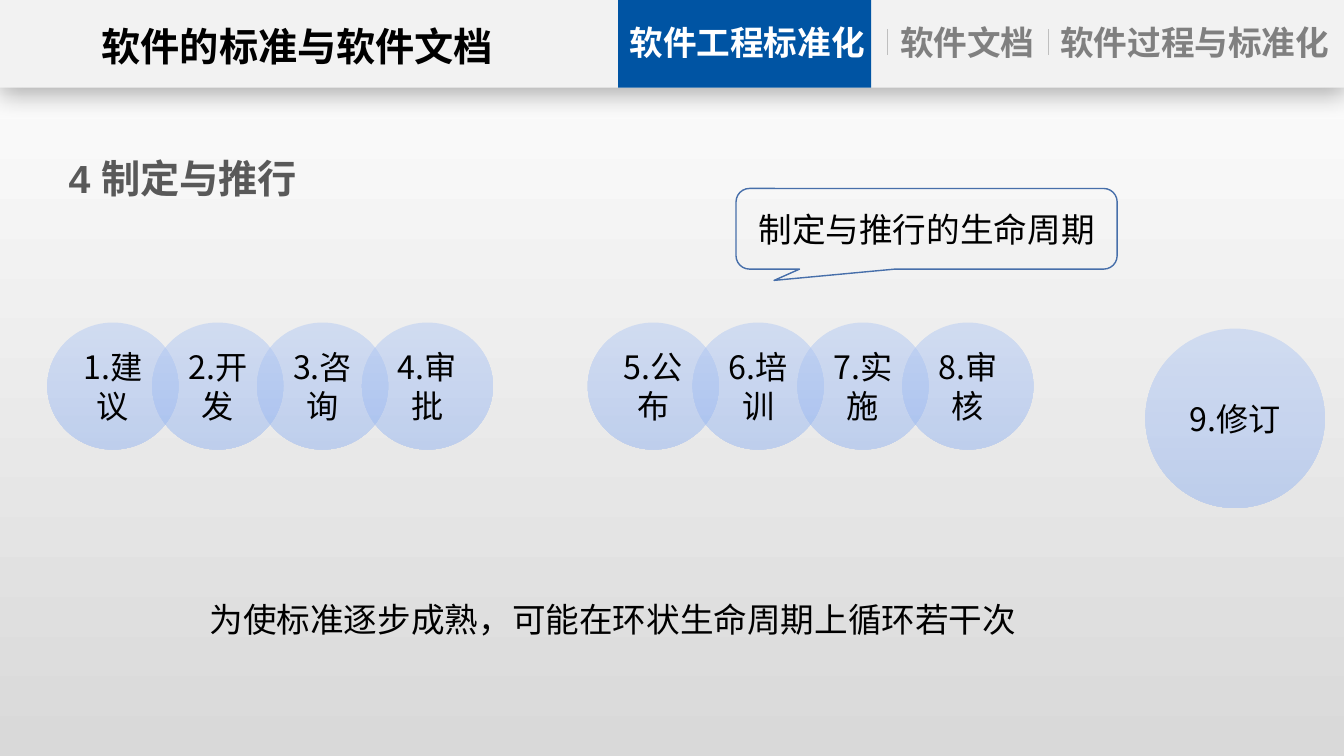
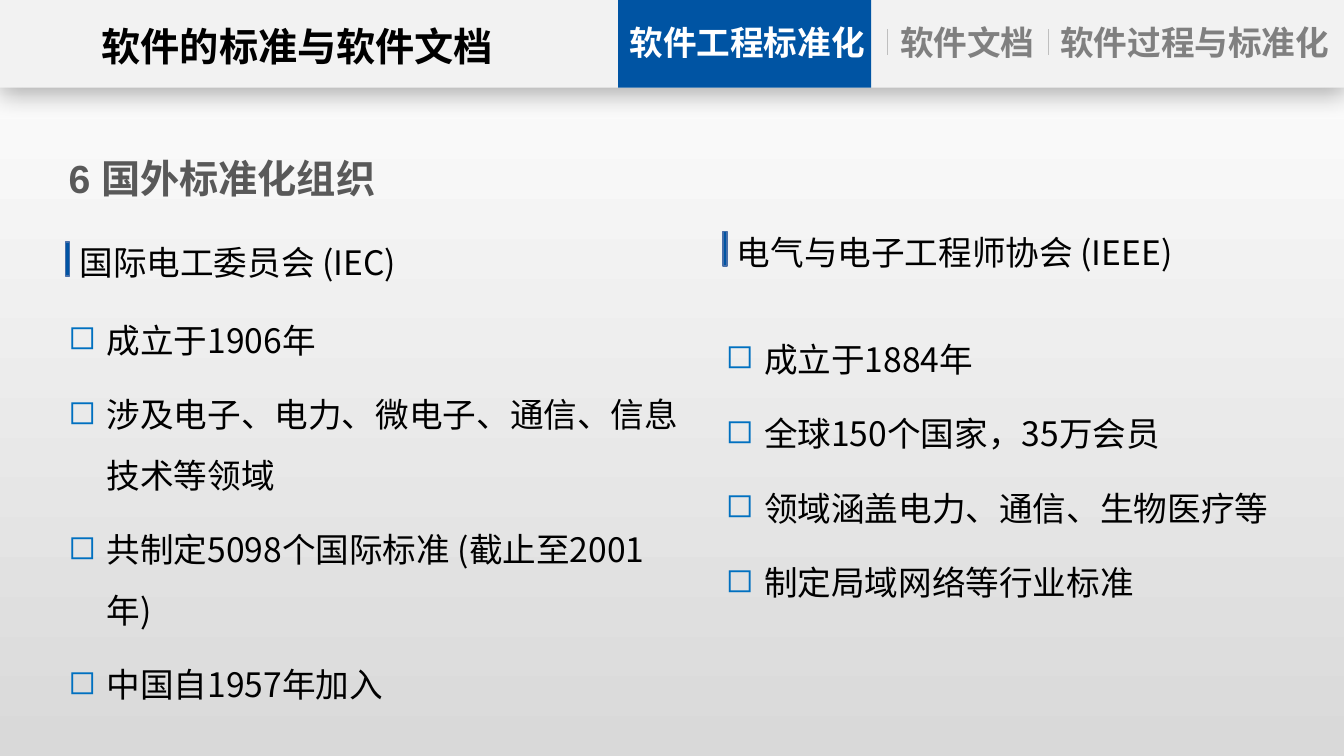
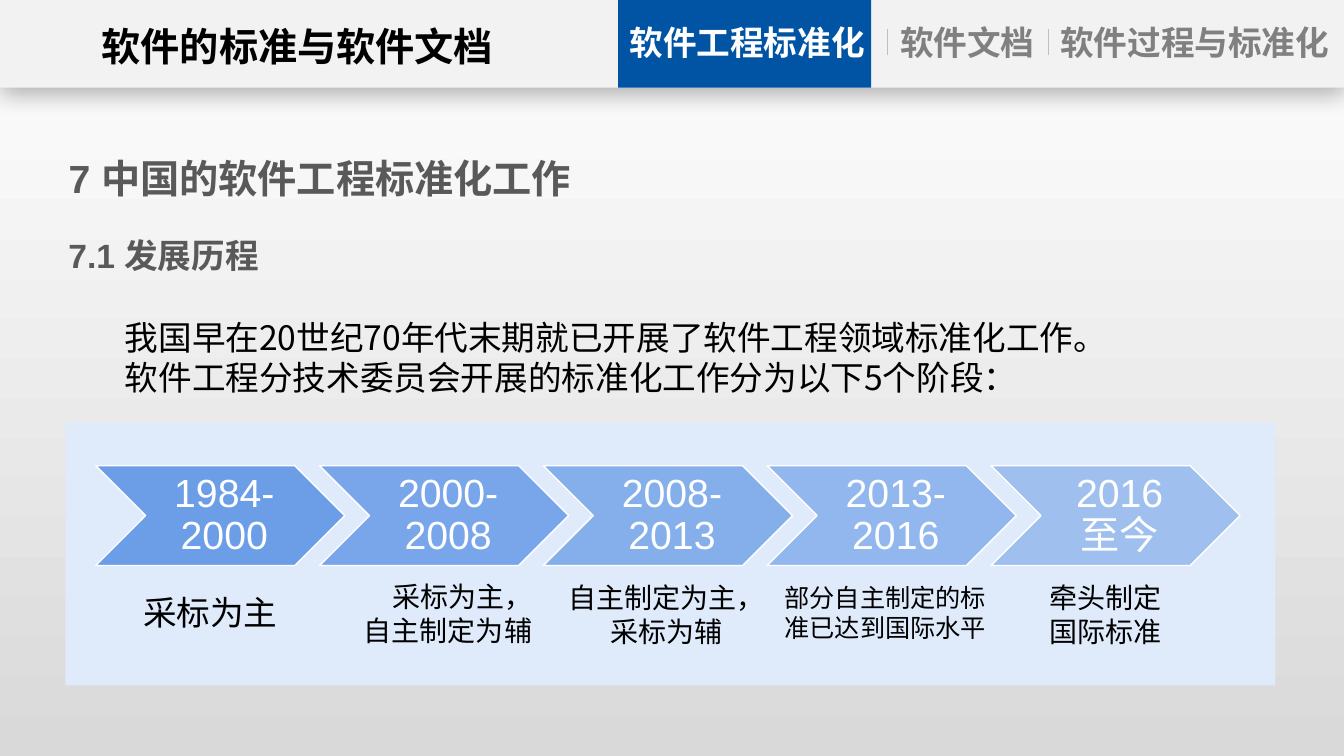
from dataclasses import dataclass

from lxml import etree
from pptx import Presentation
from pptx.dml.color import RGBColor
from pptx.enum import shapes, text
from pptx.oxml import ns
from pptx.util import Inches, Pt

LEFT, CENTER = text.PP_ALIGN.LEFT, text.PP_ALIGN.CENTER
TOP, MIDDLE = text.MSO_ANCHOR.TOP, text.MSO_ANCHOR.MIDDLE
SHAPE = shapes.MSO_SHAPE
PAD = (0.1, 0.05, 0.1, 0.05)


@dataclass(frozen=True)
class Theme:
    heading_font: str = "Arial"
    body_font: str = "Noto Sans CJK SC"
    white: str = "FFFFFF"
    black: str = "000000"
    page_end: str = "D9D9D9"
    band: str = "F2F2F2"
    active: str = "0054A3"
    inactive: str = "808080"
    divider: str = "BFBFBF"
    heading: str = "595959"
    outline: str = "476FAA"
    bullet: str = "0070C0"
    circle_top: str = "B4CAF3"
    circle_bottom: str = "96B6F1"
    panel: str = "DFEAFA"
    arrow: str = "6096E6"
    title_size: int = 28
    body_size: int = 24
    circle_size: int = 23
    caption_size: int = 20
    small_size: int = 18


def add_xml(parent, tag, **attributes):
    return etree.SubElement(parent, ns.qn(tag), **attributes)


class Deck:
    def __init__(self, theme):
        self.theme = theme
        self.slide = None
        self.presentation = Presentation()
        self.presentation.slide_width = Inches(13.33)
        self.presentation.slide_height = Inches(7.5)
        self.layout = self.presentation.slide_layouts[5]
        for placeholder in list(self.layout.placeholders)[1:]:
            self.layout.shapes.element.remove(placeholder.element)
        self.gradient(self.layout.background.fill, theme.white, theme.page_end)

    def new_slide(self, title):
        self.slide = self.presentation.slides.add_slide(self.layout)
        heading = self.slide.shapes.title
        heading.left, heading.top = Inches(0.58), Inches(1.38)
        heading.width, heading.height = Inches(12), Inches(0.77)
        self.put_text(heading, title, size=self.theme.title_size, color=self.theme.heading,
                      font=self.theme.heading_font, bold=True, anchor=MIDDLE)

    def share(self):
        for part in list(self.slide.shapes):
            if not part.is_placeholder:
                self.layout.shapes.element.append(part.element)

    def gradient(self, fill, start, end):
        fill.gradient()
        fill.gradient_angle = 270
        for stop, color in zip(fill.gradient_stops, (start, end)):
            stop.color.rgb = RGBColor.from_string(color)

    def opacity(self, shape, percent):
        for color in list(shape.element.spPr.iter(ns.qn("a:srgbClr"))):
            add_xml(color, "a:alpha", val=str(percent * 1000))

    def drop_shadow(self, shape):
        effects = shape.element.spPr.find(ns.qn("a:effectLst"))
        shadow = add_xml(effects, "a:outerShdw", blurRad=str(Pt(18)), dist=str(Pt(4)),
                         dir="5400000", algn="t", rotWithShape="0")
        color = add_xml(shadow, "a:srgbClr", val=self.theme.black)
        add_xml(color, "a:alpha", val="29000")

    def shape(self, kind, left, top, width, height, fill=None, line=None,
              fade=None, opacity=None):
        shape = self.slide.shapes.add_shape(
            kind, Inches(left), Inches(top), Inches(width), Inches(height))
        shape.shadow.inherit = False
        if fade:
            self.gradient(shape.fill, *fade)
        elif fill:
            shape.fill.solid()
            shape.fill.fore_color.rgb = RGBColor.from_string(fill)
        else:
            shape.fill.background()
        if opacity:
            self.opacity(shape, opacity)
        if line:
            shape.line.color.rgb = RGBColor.from_string(line)
            shape.line.width = Pt(1)
        else:
            shape.line.fill.background()
        return shape

    def divider(self, x):
        line = self.slide.shapes.add_connector(
            shapes.MSO_CONNECTOR.STRAIGHT, Inches(x), Inches(0.29), Inches(x), Inches(0.55))
        line.line.color.rgb = RGBColor.from_string(self.theme.divider)
        line.line.width = Pt(0.5)
        add_xml(line.element.spPr, "a:effectLst")

    def put_text(self, shape, content, size=None, color=None, font=None, bold=False,
                 align=LEFT, anchor=TOP, pad=PAD, spacing=None, after=0):
        frame = shape.text_frame
        frame.text = content
        frame.word_wrap = True
        frame.auto_size = text.MSO_AUTO_SIZE.NONE
        frame.vertical_anchor = anchor
        (frame.margin_left, frame.margin_top,
         frame.margin_right, frame.margin_bottom) = map(Inches, pad)
        for paragraph in frame.paragraphs:
            paragraph.alignment = align
            paragraph.space_after = Pt(after)
            if spacing:
                paragraph.line_spacing = spacing
            for run in paragraph.runs:
                run.font.size = Pt(size or self.theme.body_size)
                run.font.bold = bold
                run.font.color.rgb = RGBColor.from_string(color or self.theme.black)
                run.font.name = font or self.theme.body_font
                add_xml(run._r.get_or_add_rPr(), "a:ea", typeface=self.theme.body_font)
        return frame

    def text(self, left, top, width, height, content, **style):
        box = self.slide.shapes.add_textbox(
            Inches(left), Inches(top), Inches(width), Inches(height))
        return self.put_text(box, content, **style)

    def bullets(self, left, top, width, height, items):
        frame = self.text(left, top, width, height, "\n".join(items), spacing=1.5, after=10)
        for paragraph in frame.paragraphs:
            properties = paragraph._p.get_or_add_pPr()
            properties.set("marL", str(Inches(0.38)))
            properties.set("indent", str(Inches(-0.38)))
            add_xml(add_xml(properties, "a:buClr"), "a:srgbClr", val=self.theme.bullet)
            add_xml(properties, "a:buChar", char="◻")

    def header(self):
        theme = self.theme
        band = self.shape(SHAPE.RECTANGLE, 0, 0, 13.33, 0.87, theme.band)
        self.drop_shadow(band)
        self.shape(SHAPE.RECTANGLE, 6.13, 0, 2.51, 0.87, theme.active)
        for x in (8.8, 10.4):
            self.divider(x)
        labels = (
            (0.58, 4.74, "软件的标准与软件文档", theme.title_size, theme.black),
            (6.17, 2.48, "软件工程标准化", theme.body_size, theme.white),
            (8.86, 1.47, "软件文档", theme.body_size, theme.inactive),
            (10.47, 2.76, "软件过程与标准化", theme.body_size, theme.inactive),
        )
        for left, width, label, size, color in labels:
            self.text(left, 0.17, width, 0.57, label, size=size, color=color, bold=True,
                      font=theme.heading_font, align=CENTER, pad=(0, 0.05, 0, 0.05))
        self.share()

    def circle(self, left, top, width, height, step):
        circle = self.shape(SHAPE.OVAL, left, top, width, height, opacity=50,
                            fade=(self.theme.circle_top, self.theme.circle_bottom))
        self.put_text(circle, step, size=self.theme.circle_size, align=CENTER,
                      anchor=MIDDLE, pad=(0.09, 0.03, 0.09, 0.03))

    def organization(self, left, top, name):
        self.shape(SHAPE.RECTANGLE, left, top + 0.05, 0.04, 0.34,
                   self.theme.active, self.theme.outline)
        self.text(left + 0.04, top, 5.22, 0.57, name)

    def period(self, left, years, opacity):
        arrow = self.shape(SHAPE.CHEVRON, left, 4.62, 2.47, 0.99, self.theme.arrow,
                           opacity=opacity, line=self.theme.white)
        self.put_text(arrow, years, size=self.theme.title_size, color=self.theme.white,
                      font=self.theme.heading_font, align=CENTER, anchor=MIDDLE,
                      pad=(0.12, 0.04, 0.04, 0.04), spacing=0.9)


def life_cycle(deck):
    deck.new_slide("4 制定与推行")
    deck.header()
    deck.text(1.98, 5.89, 8.5, 0.95, "为使标准逐步成熟，可能在环状生命周期上循环若干次", after=10)
    stages = (
        (0.47, ("1.建议", "2.开发", "3.咨询", "4.审批")),
        (5.83, ("5.公布", "6.培训", "7.实施", "8.审核")),
    )
    for start, steps in stages:
        for index, step in enumerate(steps):
            deck.circle(start + 1.04 * index, 3.2, 1.3, 1.26, step)
    deck.circle(11.36, 3.26, 1.78, 1.78, "9.修订")
    callout = deck.shape(SHAPE.ROUNDED_RECTANGULAR_CALLOUT, 7.3, 1.87, 3.78, 0.8,
                         line=deck.theme.outline)
    callout.adjustments[0] = -0.4
    callout.adjustments[1] = 0.64
    deck.put_text(callout, "制定与推行的生命周期", font=deck.theme.heading_font,
                  align=CENTER, anchor=MIDDLE)


def foreign_organizations(deck):
    deck.new_slide("6 国外标准化组织")
    deck.organization(0.65, 2.35, "国际电工委员会 (IEC)")
    deck.bullets(0.58, 2.92, 6.29, 4.01, (
        "成立于1906年",
        "涉及电子、电力、微电子、通信、信息技术等领域",
        "共制定5098个国际标准 (截止至2001年)",
        "中国自1957年加入",
    ))
    deck.organization(7.17, 2.25, "电气与电子工程师协会 (IEEE)")
    deck.bullets(7.1, 3.11, 5.92, 3.43, (
        "成立于1884年",
        "全球150个国家，35万会员",
        "领域涵盖电力、通信、生物医疗等",
        "制定局域网络等行业标准",
    ))


def china_history(deck):
    theme = deck.theme
    deck.new_slide("7 中国的软件工程标准化工作")
    deck.shape(SHAPE.RECTANGLE, 0.65, 4.19, 12, 2.61, theme.panel)
    deck.text(0.58, 2.15, 12, 0.77, "7.1 发展历程", color=theme.heading,
              font=theme.heading_font, bold=True, anchor=MIDDLE)
    deck.text(1.14, 3.09, 9.65, 1.22,
              "我国早在20世纪70年代末期就已开展了软件工程领域标准化工作。"
              "软件工程分技术委员会开展的标准化工作分为以下5个阶段：", after=10)
    periods = ("1984-2000", "2000-2008", "2008-2013", "2013-2016", "2016 至今")
    for index, years in enumerate(periods):
        deck.period(0.95 + 2.22 * index, years, 90 - 10 * index)
    deck.text(1.32, 5.82, 1.61, 0.5, "采标为主")
    adopting = deck.text(3.51, 5.7, 2.16, 0.77, "采标为主，\n自主制定为辅",
                         size=theme.caption_size)
    adopting.paragraphs[0].alignment = CENTER
    captions = (
        (5.53, 5.71, 2.16, "自主制定为主，采标为辅", theme.caption_size, theme.body_font),
        (7.67, 5.73, 2.22, "部分自主制定的标准已达到国际水平", theme.small_size, theme.heading_font),
        (10.21, 5.71, 1.51, "牵头制定国际标准", theme.caption_size, theme.body_font),
    )
    for left, top, width, caption, size, font in captions:
        deck.text(left, top, width, 0.77, caption, size=size, font=font, align=CENTER)


def main():
    deck = Deck(Theme())
    life_cycle(deck)
    foreign_organizations(deck)
    china_history(deck)
    deck.presentation.save("out.pptx")


if __name__ == "__main__":
    main()
